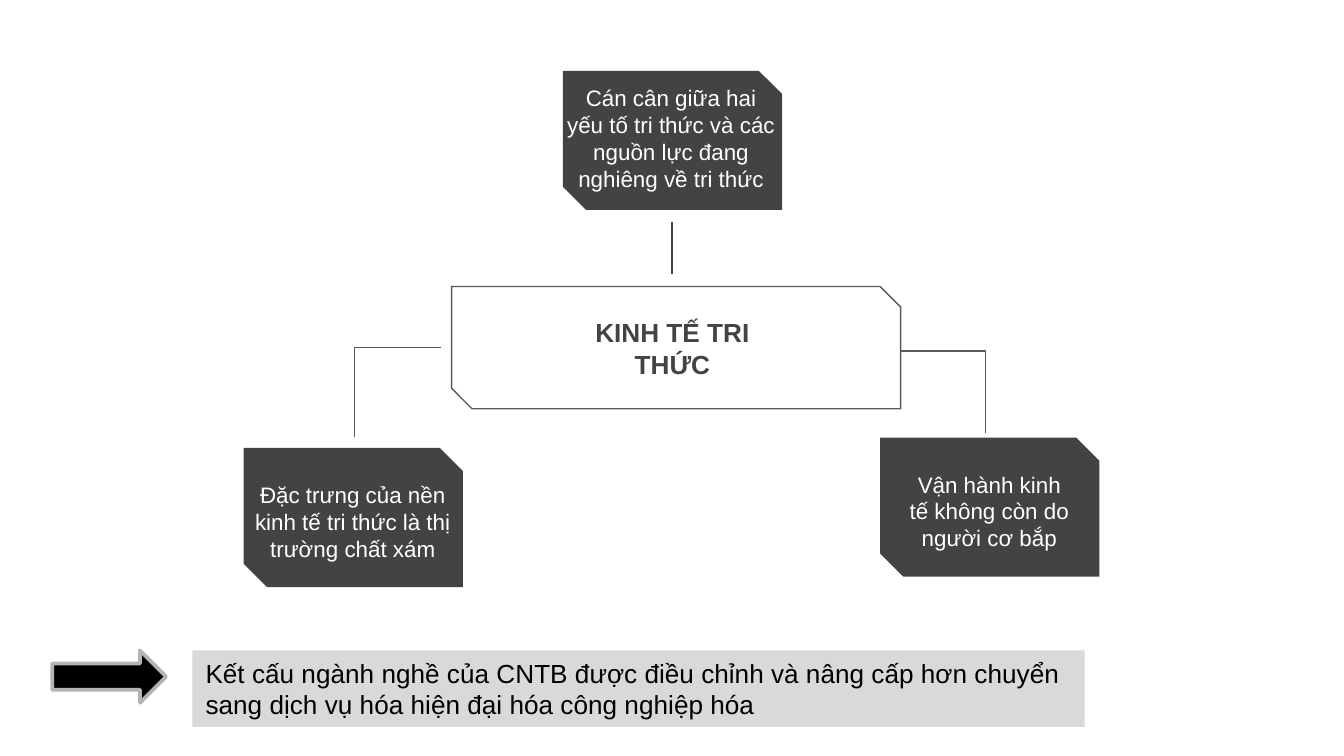
"""Build the knowledge economy diagram slide."""
from dataclasses import dataclass

import pptx
import pptx.dml.color
import pptx.enum.shapes
import pptx.enum.text
import pptx.oxml
import pptx.oxml.ns
import pptx.util

Pt = pptx.util.Pt
Shape = pptx.enum.shapes.MSO_SHAPE
Connector = pptx.enum.shapes.MSO_CONNECTOR
Align = pptx.enum.text.PP_ALIGN
Anchor = pptx.enum.text.MSO_ANCHOR

COLORS = {
    "dark": "434343",
    "outline": "595959",
    "white": "FFFFFF",
    "black": "000000",
    "arrow_edge": "B4B4B4",
    "band": "D9D9D9",
}
FONT = "Arial"
CARD_WIDTH, CARD_HEIGHT = 117.5, 74.5
SNIP = 0.167


@dataclass(frozen=True)
class Area:
    left: float
    top: float
    width: float
    height: float

    def lengths(self) -> tuple:
        return Pt(self.left), Pt(self.top), Pt(self.width), Pt(self.height)


@dataclass(frozen=True)
class Card:
    left: float
    top: float
    text_area: Area
    text: str


@dataclass(frozen=True)
class Link:
    kind: int
    start: tuple[float, float]
    end: tuple[float, float]
    color: str


CARDS = [
    Card(130.5, 240, Area(126, 250.5, 126, 49),
         "Đặc trưng của nền kinh tế tri thức là thị trường chất xám"),
    Card(471.5, 234.5, Area(479.5, 245, 101, 53),
         "Vận hành kinh tế không còn do người cơ bắp"),
    Card(301.5, 38, Area(296.5, 38, 126, 74),
         "Cán cân giữa hai yếu tố tri thức và các nguồn lực đang nghiêng về tri thức"),
]
LINKS = [
    Link(Connector.STRAIGHT, (360, 119), (360, 147), "dark"),
    Link(Connector.ELBOW, (236.5, 186), (190, 234), "outline"),
    Link(Connector.ELBOW, (482.5, 188), (528, 232), "outline"),
]


def rgb(name: str) -> pptx.dml.color.RGBColor:
    return pptx.dml.color.RGBColor.from_string(COLORS[name])


def add_shape(page, kind, area: Area, fill: str | None = None,
              line: str | None = None, line_width: float = 0.75):
    shape = page.shapes.add_shape(kind, *area.lengths())
    shape.shadow.inherit = False
    if fill:
        shape.fill.solid()
        shape.fill.fore_color.rgb = rgb(fill)
    else:
        shape.fill.background()
    if line:
        shape.line.color.rgb = rgb(line)
        shape.line.width = Pt(line_width)
    else:
        shape.line.fill.background()
    return shape


def add_snipped(page, area: Area, fill: str | None = None, line: str | None = None) -> None:
    shape = add_shape(page, Shape.SNIP_2_DIAG_RECTANGLE, area, fill, line)
    shape.adjustments[0] = 0
    shape.adjustments[1] = SNIP


def write(box, text: str, size: float, color: str, align=Align.CENTER,
          anchor=Anchor.TOP, bold: bool = False, inset: float = 7.2) -> None:
    frame = box.text_frame
    frame.word_wrap = True
    frame.auto_size = pptx.enum.text.MSO_AUTO_SIZE.NONE
    frame.vertical_anchor = anchor
    frame.margin_left = frame.margin_right = Pt(7.2)
    frame.margin_top = frame.margin_bottom = Pt(inset)
    frame.text = text
    para = frame.paragraphs[0]
    para.alignment = align
    para.font.name = FONT
    para.font.size = Pt(size)
    para.font.bold = bold
    para.font.color.rgb = rgb(color)


def add_card(page, card: Card) -> None:
    add_snipped(page, Area(card.left, card.top, CARD_WIDTH, CARD_HEIGHT), fill="dark")
    box = page.shapes.add_textbox(*card.text_area.lengths())
    write(box, card.text, 12, "white")


def add_link(page, link: Link) -> None:
    line = page.shapes.add_connector(link.kind, *map(Pt, link.start + link.end))
    line.line.color.rgb = rgb(link.color)
    line.line.width = Pt(0.75)
    properties = line._element.spPr
    pptx.oxml.ns.qn("a:effectLst")
    properties.append(properties.makeelement(pptx.oxml.ns.qn("a:effectLst"), {}))
    if link.kind == Connector.ELBOW:
        guides = properties.find(".//" + pptx.oxml.ns.qn("a:avLst"))
        guides.append(guides.makeelement(
            pptx.oxml.ns.qn("a:gd"), {"name": "adj1", "fmla": "val 100000"}))


def add_title(page, text: str, area: Area) -> None:
    title = page.shapes.title
    title.left, title.top, title.width, title.height = area.lengths()
    write(title, text, 14, "dark", anchor=Anchor.BOTTOM, bold=True)


def main() -> None:
    deck = pptx.Presentation()
    deck.slide_width, deck.slide_height = Pt(720), Pt(405)
    page = deck.slides.add_slide(deck.slide_layouts.get_by_name("Title Only"))
    add_title(page, "KINH TẾ TRI THỨC", Area(304, 179.5, 112.5, 31))
    add_snipped(page, Area(242, 153.5, 240.5, 65.5), line="outline")
    for card in CARDS:
        add_card(page, card)
    for link in LINKS:
        add_link(page, link)
    add_shape(page, Shape.RIGHT_ARROW, Area(28, 348.5, 61, 28), "black", "arrow_edge", 2)
    band = add_shape(page, Shape.RECTANGLE, Area(103, 348.5, 478, 41), "band")
    write(band, "Kết cấu ngành nghề của CNTB được điều chỉnh và nâng cấp hơn chuyển "
                "sang dịch vụ hóa hiện đại hóa công nghiệp hóa",
          14, "black", align=Align.LEFT, inset=3.6)
    deck.save("out.pptx")


if __name__ == "__main__":
    main()
